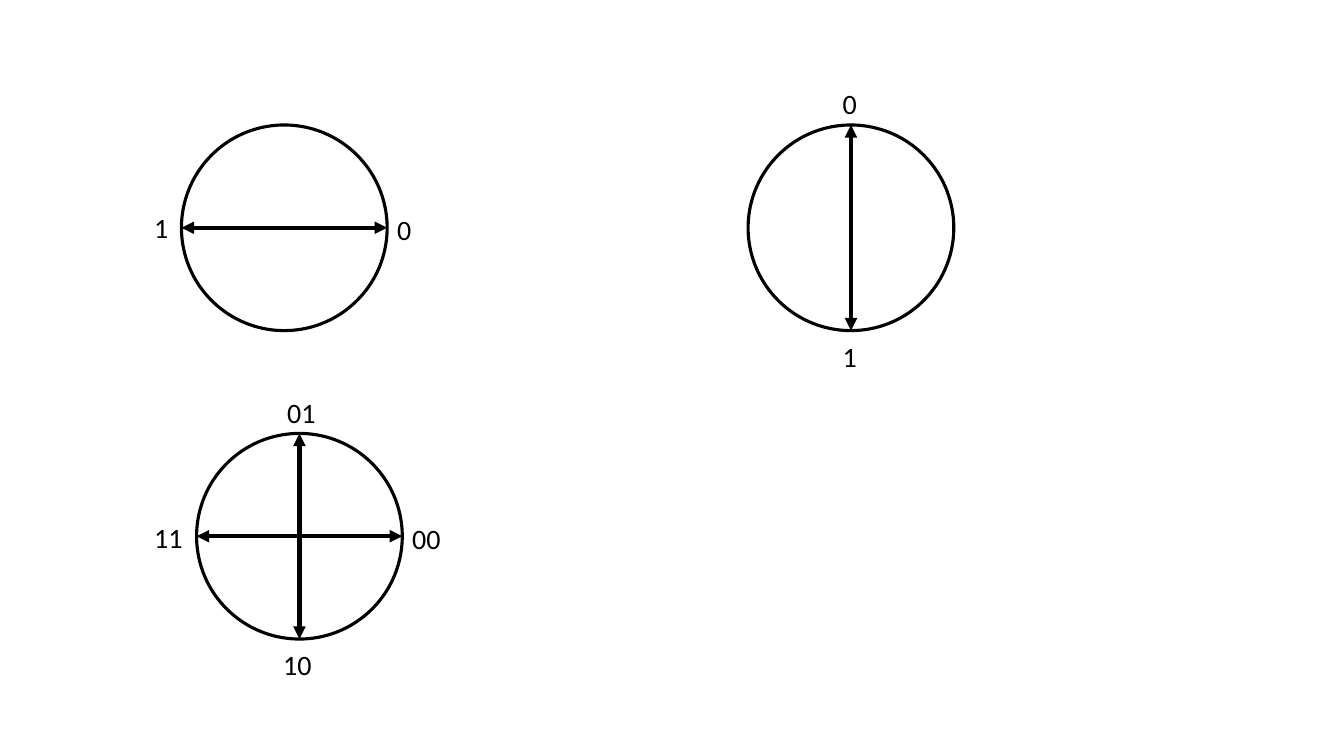
"""Build a slide of phase circles with bit labels at the arrow ends."""
from dataclasses import dataclass

from lxml.etree import SubElement
from pptx import Presentation
from pptx.dml.color import RGBColor
from pptx.enum.shapes import MSO_CONNECTOR, MSO_SHAPE
from pptx.enum.text import MSO_AUTO_SIZE
from pptx.oxml.ns import qn
from pptx.slide import Slide
from pptx.util import Inches, Pt

BLACK = RGBColor(0x00, 0x00, 0x00)
WHITE = RGBColor(0xFF, 0xFF, 0xFF)
RADIUS = 1.02
LABEL_HEIGHT = 0.44


@dataclass(frozen=True)
class Label:
    text: str
    left: float
    top: float
    width: float


@dataclass(frozen=True)
class PhaseCircle:
    center_x: float
    center_y: float
    horizontal: bool
    vertical: bool
    labels: tuple[Label, ...]


PHASE_CIRCLES = (
    PhaseCircle(2.82, 2.26, True, False, (
        Label("0", 3.84, 2.06, 0.36),
        Label("1", 1.43, 2.04, 0.36),
    )),
    PhaseCircle(8.44, 2.26, False, True, (
        Label("0", 8.26, 0.81, 0.36),
        Label("1", 8.26, 3.32, 0.36),
    )),
    PhaseCircle(2.97, 5.32, True, True, (
        Label("00", 3.99, 5.12, 0.48),
        Label("11", 1.43, 5.11, 0.52),
        Label("10", 2.71, 6.37, 0.52),
        Label("01", 2.75, 3.87, 0.48),
    )),
)


def add_double_arrow(page: Slide, circle: PhaseCircle, reach_x: float, reach_y: float) -> None:
    arrow = page.shapes.add_connector(
        MSO_CONNECTOR.STRAIGHT,
        Inches(circle.center_x - reach_x), Inches(circle.center_y + reach_y),
        Inches(circle.center_x + reach_x), Inches(circle.center_y - reach_y),
    )
    arrow.line.color.rgb = BLACK
    arrow.line.width = Pt(3)
    properties = arrow._element.spPr
    outline = properties.find(qn("a:ln"))
    for end in ("a:headEnd", "a:tailEnd"):
        SubElement(outline, qn(end), type="triangle")
    SubElement(properties, qn("a:effectLst"))


def add_label(page: Slide, label: Label) -> None:
    box = page.shapes.add_textbox(
        Inches(label.left), Inches(label.top), Inches(label.width), Inches(LABEL_HEIGHT)
    )
    frame = box.text_frame
    frame.word_wrap = False
    frame.auto_size = MSO_AUTO_SIZE.SHAPE_TO_FIT_TEXT
    span = frame.paragraphs[0].add_run()
    span.text = label.text
    span.font.name = "Calibri"
    span.font.size = Pt(20)
    span.font.color.rgb = BLACK


def add_phase_circle(page: Slide, circle: PhaseCircle) -> None:
    ring = page.shapes.add_shape(
        MSO_SHAPE.OVAL,
        Inches(circle.center_x - RADIUS), Inches(circle.center_y - RADIUS),
        Inches(2 * RADIUS), Inches(2 * RADIUS),
    )
    ring.shadow.inherit = False
    ring.fill.solid()
    ring.fill.fore_color.rgb = WHITE
    ring.line.color.rgb = BLACK
    ring.line.width = Pt(2.25)
    if circle.horizontal:
        add_double_arrow(page, circle, RADIUS, 0)
    if circle.vertical:
        add_double_arrow(page, circle, 0, RADIUS)
    for label in circle.labels:
        add_label(page, label)


def main() -> None:
    deck = Presentation()
    deck.slide_width = Inches(13.33)
    deck.slide_height = Inches(7.5)
    page = deck.slides.add_slide(deck.slide_layouts[6])
    for circle in PHASE_CIRCLES:
        add_phase_circle(page, circle)
    deck.save("out.pptx")


if __name__ == "__main__":
    main()
